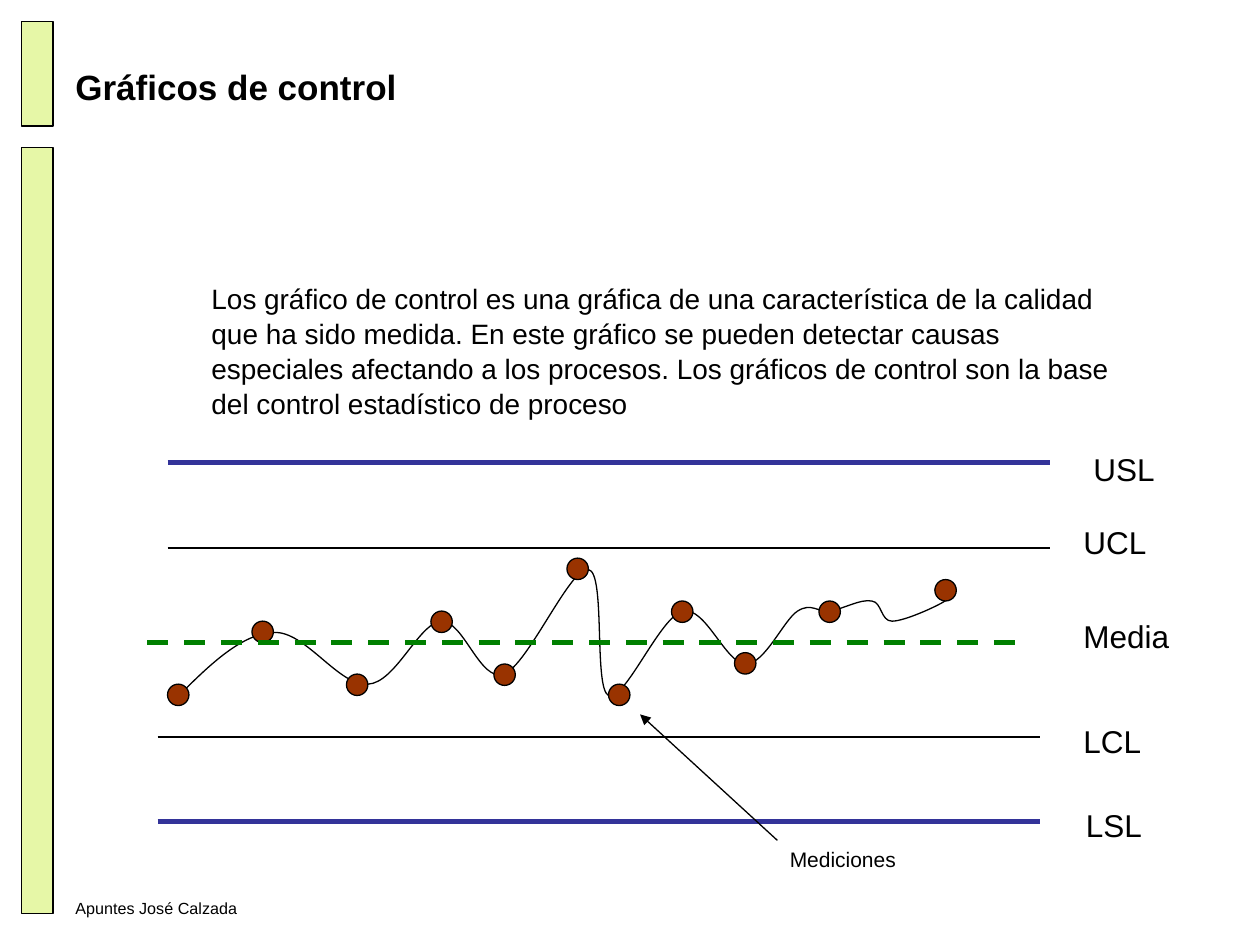
from lxml.etree import SubElement
from pptx import Presentation
from pptx.dml.color import RGBColor
from pptx.enum.dml import MSO_LINE
from pptx.enum.shapes import MSO_CONNECTOR, MSO_SHAPE
from pptx.enum.text import MSO_ANCHOR
from pptx.oxml.ns import qn
from pptx.util import Inches, Pt

BLACK = RGBColor(0x00, 0x00, 0x00)
LIME = RGBColor(0xE6, 0xF7, 0xA7)
BROWN = RGBColor(0x99, 0x33, 0x00)
GREEN = RGBColor(0x00, 0x80, 0x00)
BLUE = RGBColor(0x33, 0x33, 0x99)

TITLE = "Gráficos de control"
BODY = ("Los gráfico de control es una gráfica de una característica de la calidad "
        "que ha sido medida. En este gráfico se pueden detectar causas especiales "
        "afectando a los procesos. Los gráficos de control son la base del control "
        "estadístico de proceso")
FOOTER = "Apuntes José Calzada"

# Side bars: top, height
BARS = [(1.17, 6.08), (0.17, 0.83)]

# Control levels: label, label left, label top, line left, line y, colour, width, dash
LEVELS = [
    ("Media", 8.5, 4.85, 1.17, 5.1, GREEN, 3, MSO_LINE.DASH),
    ("UCL", 8.5, 4.1, 1.33, 4.35, BLACK, 0.75, None),
    ("LCL", 8.5, 5.68, 1.25, 5.85, BLACK, 0.75, None),
    ("USL", 8.58, 3.52, 1.33, 3.67, BLUE, 3, None),
    ("LSL", 8.52, 6.35, 1.25, 6.52, BLUE, 3, None),
]
LEVEL_LENGTH = 7

# Measurements: left and top of each dot
DOT = 0.17
DOTS = [(1.33, 5.43), (2, 4.93), (2.75, 5.35), (3.42, 4.85), (3.92, 5.27), (4.5, 4.43),
        (4.83, 5.43), (5.33, 4.77), (5.83, 5.18), (6.5, 4.77), (7.42, 4.6)]

# Curve: start point, then two control points and an end point per segment
CURVE_START = (1.42, 5.52)
CURVE = [
    [(1.67, 5.27), (1.92, 5.03), (2.17, 5.02)],
    [(2.42, 5), (2.69, 5.45), (2.92, 5.43)],
    [(3.14, 5.42), (3.32, 4.95), (3.5, 4.93)],
    [(3.68, 4.92), (3.81, 5.42), (4, 5.35)],
    [(4.19, 5.28), (4.53, 4.49), (4.67, 4.52)],
    [(4.81, 4.54), (4.71, 5.46), (4.83, 5.52)],
    [(4.96, 5.57), (5.24, 4.89), (5.42, 4.85)],
    [(5.6, 4.81), (5.76, 5.27), (5.92, 5.27)],
    [(6.07, 5.27), (6.22, 4.92), (6.33, 4.85)],
    [(6.44, 4.78), (6.49, 4.86), (6.58, 4.85)],
    [(6.68, 4.84), (6.83, 4.75), (6.92, 4.77)],
    [(7, 4.78), (6.99, 4.93), (7.08, 4.93)],
    [(7.18, 4.93), (7.44, 4.81), (7.5, 4.77)],
    [(7.56, 4.72), (7.42, 4.68), (7.42, 4.68)],
    [(7.42, 4.68), (7.49, 4.75), (7.5, 4.77)],
]

prs = Presentation()
prs.slide_width, prs.slide_height = Inches(10), Inches(7.5)
s = prs.slides.add_slide(prs.slide_layouts[6])


def add_text(text, x, y, w, h, size, bold=False, anchor=MSO_ANCHOR.TOP, spacing=None):
    tf = s.shapes.add_textbox(Inches(x), Inches(y), Inches(w), Inches(h)).text_frame
    tf.word_wrap = True
    tf.vertical_anchor = anchor
    p = tf.paragraphs[0]
    p.line_spacing = spacing
    r = p.add_run()
    r.text = text
    r.font.name, r.font.size, r.font.bold = "Arial", Pt(size), bold
    r.font.color.rgb = BLACK


def add_outlined(kind, x, y, w, h, fill):
    sp = s.shapes.add_shape(kind, Inches(x), Inches(y), Inches(w), Inches(h))
    sp.shadow.inherit = False
    sp.fill.solid()
    sp.fill.fore_color.rgb = fill
    sp.line.color.rgb = BLACK
    sp.line.width = Pt(0.75)


def add_line(x1, y1, x2, y2, color=BLACK, width=0.75, dash=None):
    line = s.shapes.add_connector(MSO_CONNECTOR.STRAIGHT, Inches(x1), Inches(y1),
                                  Inches(x2), Inches(y2))
    line.line.color.rgb = color
    line.line.width = Pt(width)
    if dash:
        line.line.dash_style = dash
    SubElement(line._element.spPr, qn("a:effectLst"))
    return line


def add_curve(start, segments):
    points = [(Inches(x), Inches(y)) for segment in segments for x, y in segment]
    builder = s.shapes.build_freeform(Inches(start[0]), Inches(start[1]))
    builder.add_line_segments(points, close=False)
    sp = builder.convert_to_shape()
    sp.shadow.inherit = False
    sp.fill.background()
    sp.line.color.rgb = BLACK
    sp.line.width = Pt(0.75)
    # Turn every three straight segments into one Bézier segment
    path = next(sp._element.iter(qn("a:path")))
    for i, step in enumerate(path.findall(qn("a:lnTo"))):
        if i % 3 == 0:
            bezier = SubElement(path, qn("a:cubicBezTo"))
        bezier.append(step[0])
        path.remove(step)


# Frame and texts
for top, height in BARS:
    add_outlined(MSO_SHAPE.RECTANGLE, 0.17, top, 0.25, height, LIME)
add_text(FOOTER, 0.5, 7.08, 2.33, 0.27, 9.2)
add_text(TITLE, 0.5, 0.3, 9, 0.78, 20, bold=True, anchor=MSO_ANCHOR.MIDDLE)
add_text(BODY, 1.58, 2.17, 7.42, 1.17, 16, spacing=1.05)

# Measured values
add_curve(CURVE_START, CURVE)
for x, y in DOTS:
    add_outlined(MSO_SHAPE.OVAL, x, y, DOT, DOT, BROWN)

# Control levels
for label, label_x, label_y, x, y, color, width, dash in LEVELS:
    add_line(x, y, x + LEVEL_LENGTH, y, color, width, dash)
    add_text(label, label_x, label_y, 1.17, 0.4, 18)

# Callout
arrow = add_line(6.17, 6.67, 5.08, 5.67)
SubElement(arrow.line._get_or_add_ln(), qn("a:tailEnd"), type="triangle")
add_text("Mediciones", 6.17, 6.67, 1.67, 0.3, 12)

prs.save("out.pptx")
